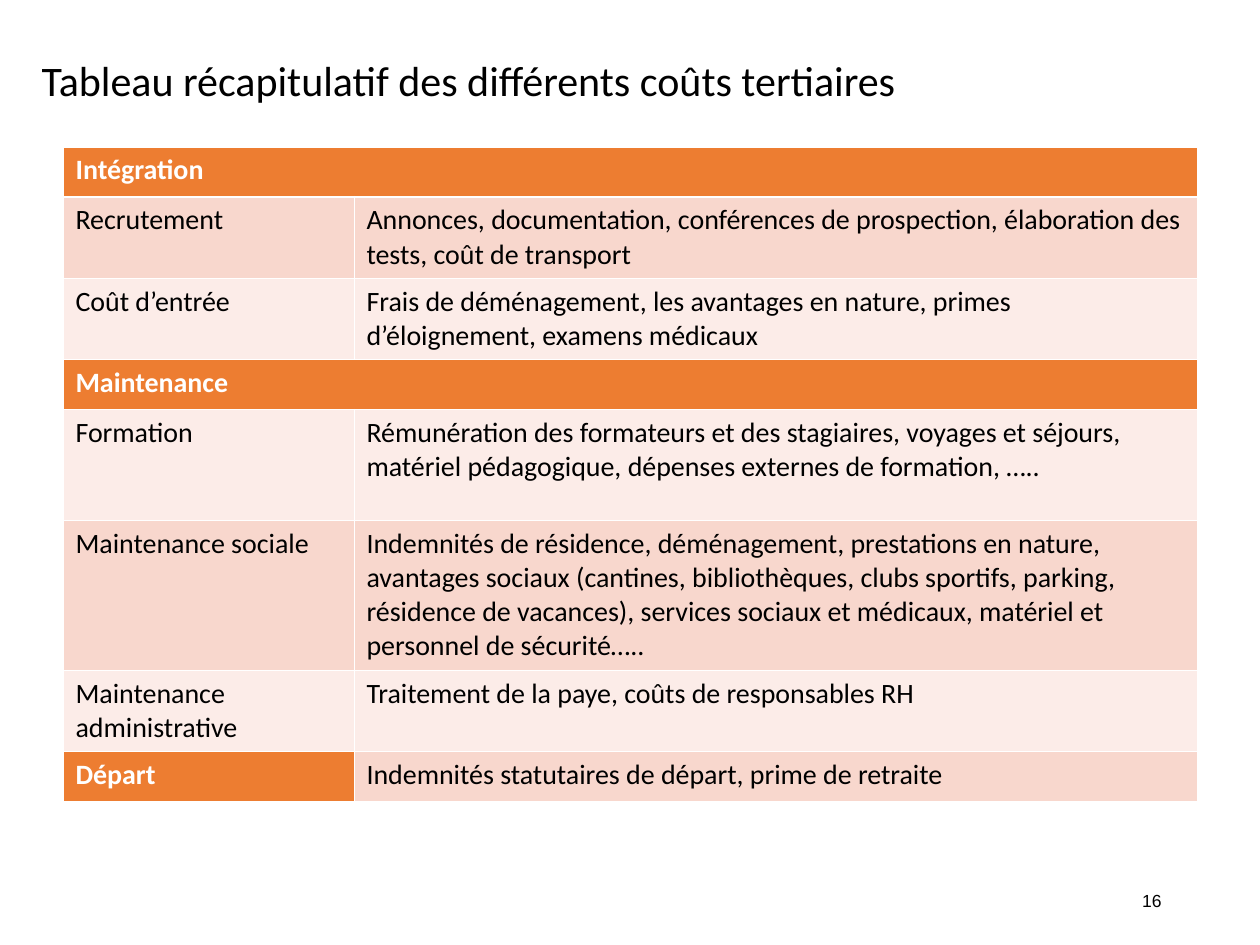
from pptx import Presentation
from pptx.dml.color import RGBColor
from pptx.enum.text import MSO_ANCHOR as Anchor, MSO_AUTO_SIZE as AutoSize, PP_ALIGN as Align
from pptx.oxml import parse_xml
from pptx.oxml.ns import nsdecls
from pptx.util import Emu, Pt

SCALE = 914400 / 126
BLACK = RGBColor(0x00, 0x00, 0x00)
WHITE = RGBColor(0xFF, 0xFF, 0xFF)
ORANGE = RGBColor(0xED, 0x7D, 0x31)
BANDS = (RGBColor(0xFC, 0xEC, 0xE8), RGBColor(0xF8, 0xD7, 0xCD))

COLUMN_WIDTHS = (291, 843)
HEADINGS = ("Intégration", "Maintenance", "Départ")
COST_ROWS = (
    (50, "Intégration", None),
    (81, "Recrutement", "Annonces, documentation, conférences de prospection, élaboration des tests, "
                        "coût de transport"),
    (81, "Coût d’entrée", "Frais de déménagement, les avantages en nature, primes d’éloignement, "
                          "examens médicaux"),
    (50, "Maintenance", None),
    (111, "Formation", "Rémunération des formateurs et des stagiaires, voyages et séjours, "
                       "matériel pédagogique, dépenses externes de formation, ….."),
    (150, "Maintenance sociale", "Indemnités de résidence, déménagement, prestations en nature, avantages "
                                 "sociaux (cantines, bibliothèques, clubs sportifs, parking, résidence de "
                                 "vacances), services sociaux et médicaux, matériel et personnel de sécurité….."),
    (81, "Maintenance administrative", "Traitement de la paye, coûts de responsables RH"),
    (50, "Départ", "Indemnités statutaires de départ, prime de retraite"),
)


def px(length):
    return Emu(round(length * SCALE))


class SlideBuilder:
    """Hold the text style and the current slide, and add each kind of element."""

    style = {"name": "Calibri", "size": Pt(16), "bold": False}

    def __init__(self, presentation):
        self.slide = presentation.slides.add_slide(presentation.slide_layouts[5])

    def set_text(self, frame, text, color, align=Align.LEFT, **changes):
        frame.text = text
        paragraph = frame.paragraphs[0]
        paragraph.alignment = align
        font = paragraph.runs[0].font
        for name, value in {**self.style, **changes}.items():
            setattr(font, name, value)
        font.color.rgb = color

    def place(self, shape, left, top, width, height):
        box = {"left": left, "top": top, "width": width, "height": height}
        for name, value in box.items():
            setattr(shape, name, px(value))
        frame = shape.text_frame
        frame_format = {"word_wrap": True, "auto_size": AutoSize.NONE, "vertical_anchor": Anchor.MIDDLE}
        for name, value in frame_format.items():
            setattr(frame, name, value)
        return frame

    def title(self, text, *box):
        frame = self.place(self.slide.shapes.title, *box)
        self.set_text(frame, text, BLACK, size=Pt(24))
        frame.paragraphs[0].line_spacing = 0.9

    def page_number(self, text, *box):
        shape = self.slide.shapes.add_textbox(0, 0, 0, 0)
        self.set_text(self.place(shape, *box), text, BLACK, Align.RIGHT, name="Arial", size=Pt(10))

    def borders(self, cell, row_index):
        thick_side = {0: "B", 1: "T"}.get(row_index)
        properties = cell._tc.get_or_add_tcPr()
        for side in "LRTB":
            width = Pt(1.47 if side == thick_side else 0.45)
            properties.append(parse_xml(
                f'<a:ln{side} {nsdecls("a")} w="{width}"><a:solidFill>'
                f'<a:srgbClr val="{WHITE}"/></a:solidFill></a:ln{side}>'))

    def cost_table(self, left, top):
        heights = [row[0] for row in COST_ROWS]
        table = self.slide.shapes.add_table(
            len(COST_ROWS), len(COLUMN_WIDTHS), px(left), px(top),
            px(sum(COLUMN_WIDTHS)), px(sum(heights))).table
        for column, width in zip(table.columns, COLUMN_WIDTHS):
            column.width = px(width)
        for row_index, (height, *texts) in enumerate(COST_ROWS):
            table.rows[row_index].height = px(height)
            for column_index, text in enumerate(texts):
                cell = table.cell(row_index, column_index)
                heading = text is None or text in HEADINGS
                self.borders(cell, row_index)
                cell.fill.solid()
                cell.fill.fore_color.rgb = ORANGE if heading else BANDS[row_index % 2]
                if text:
                    self.set_text(cell.text_frame, text, WHITE if heading else BLACK, bold=heading)
            if texts[1] is None:
                table.cell(row_index, 0).merge(table.cell(row_index, 1))


def main():
    presentation = Presentation()
    presentation.slide_width, presentation.slide_height = px(1260), px(945)
    builder = SlideBuilder(presentation)
    builder.title("Tableau récapitulatif des différents coûts tertiaires", 29, 39, 1211, 88)
    builder.cost_table(63, 147)
    builder.page_number("16", 890, 876, 284, 50)
    presentation.save("out.pptx")


if __name__ == "__main__":
    main()
